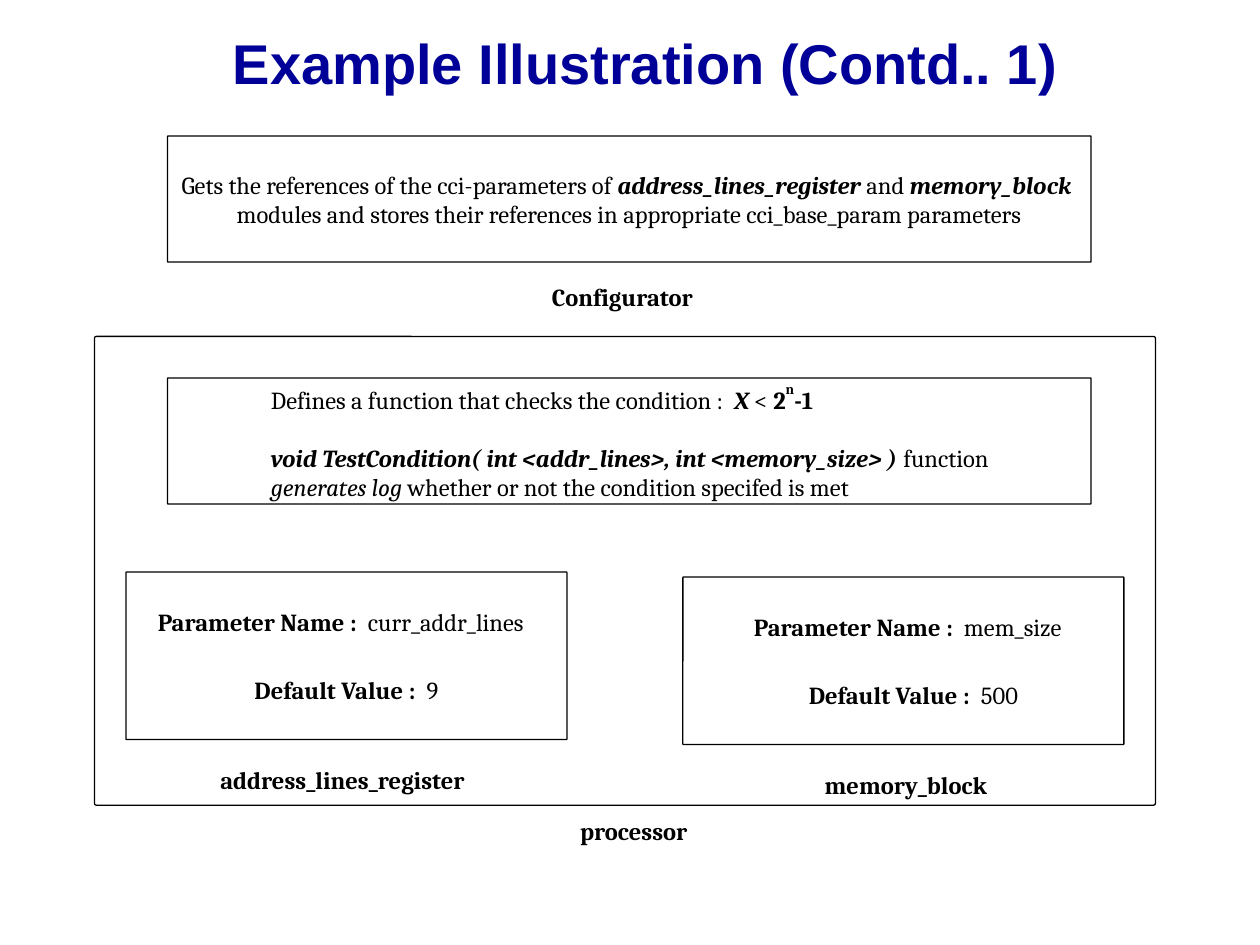
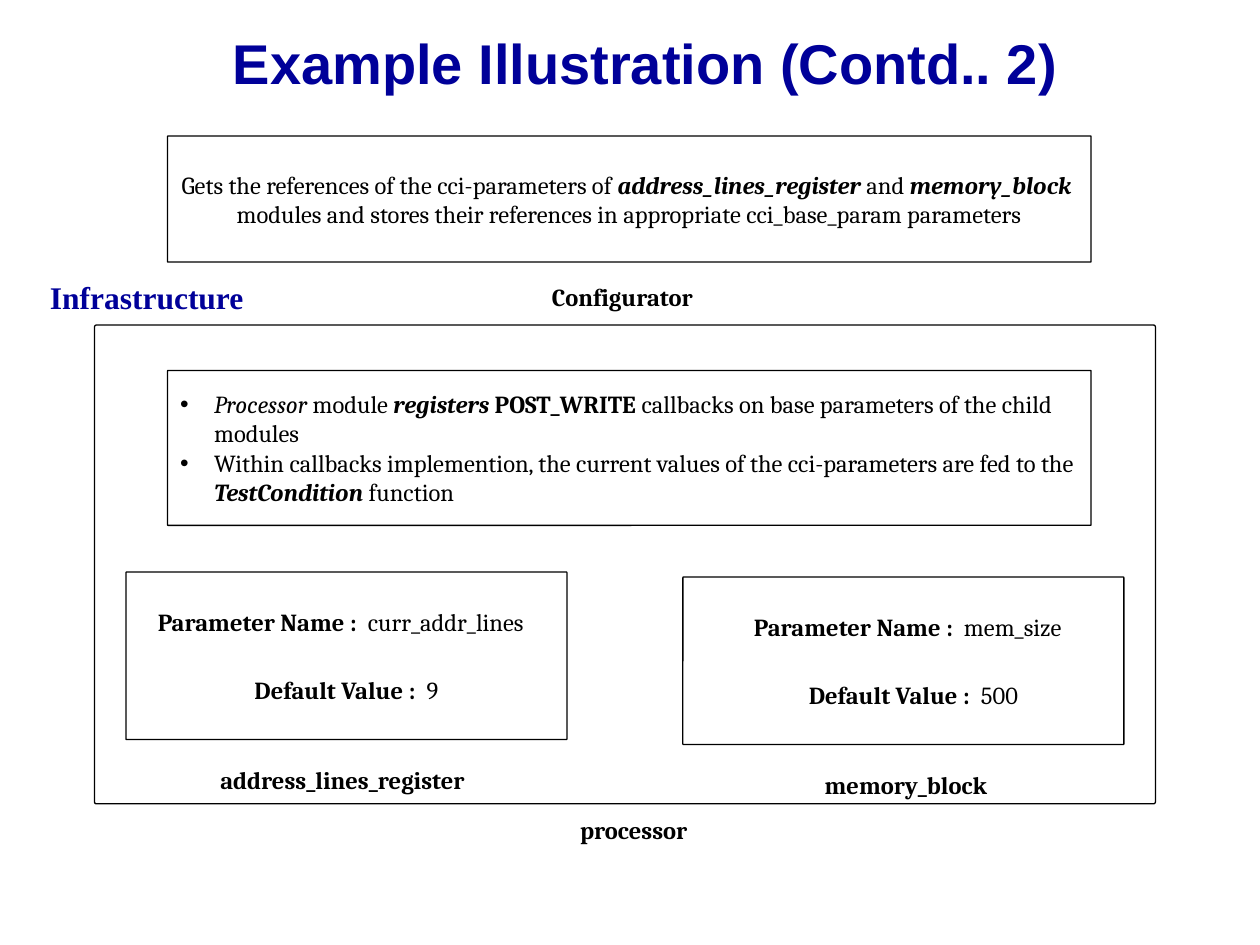
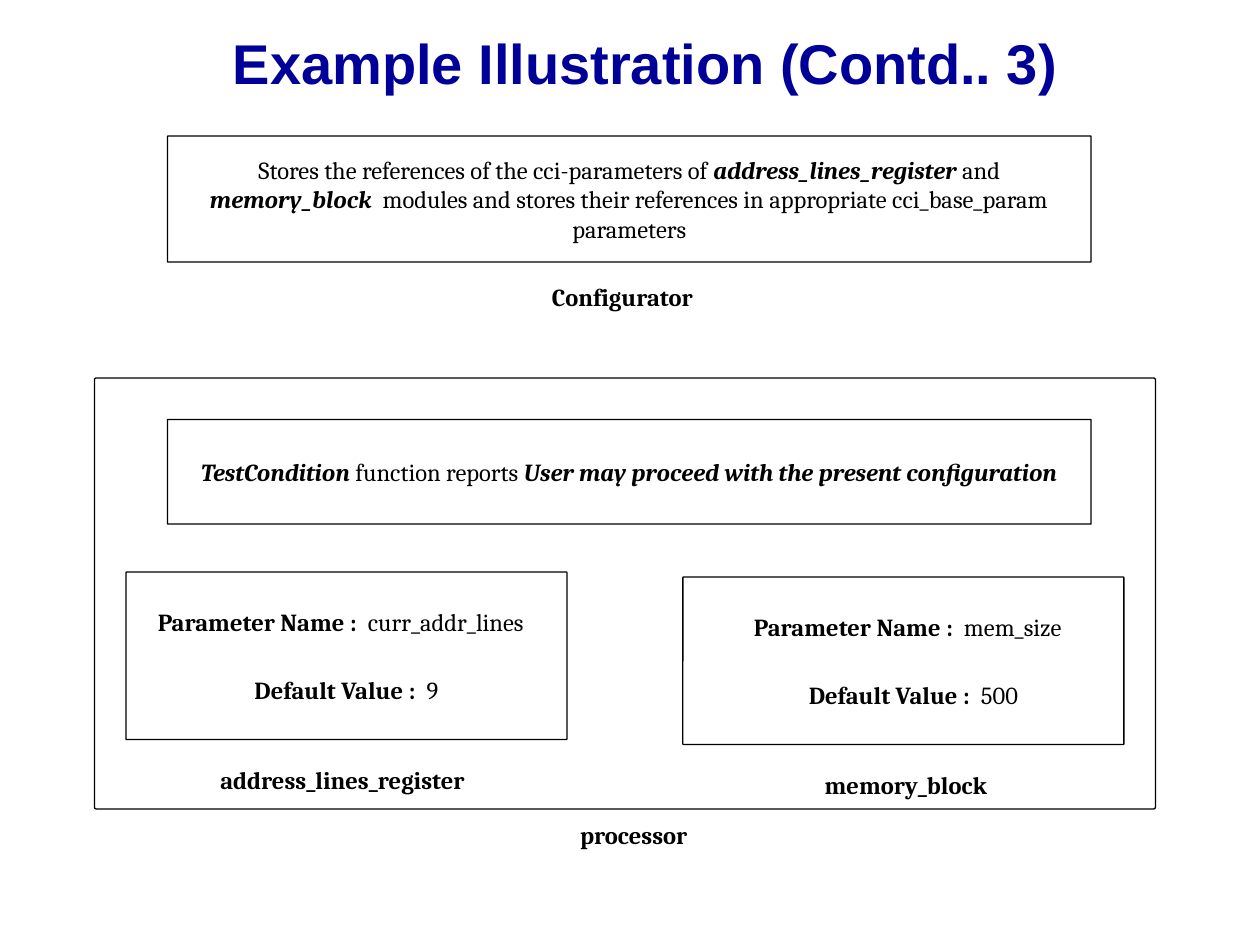
import pptx
import pptx.dml.color
import pptx.enum.shapes
import pptx.enum.text
import pptx.util
from pptx.util import Inches

BLACK, WHITE, NAVY = "000000", "FFFFFF", "000099"
BODY = {"name": "Cambria", "size": pptx.util.Pt(14)}
TITLE = {"name": "Arial", "size": pptx.util.Pt(32), "bold": True}
SIDE_HEADING = {"name": "Times New Roman", "size": pptx.util.Pt(18), "bold": True}
CENTER = pptx.enum.text.PP_ALIGN.CENTER
LEFT = pptx.enum.text.PP_ALIGN.LEFT
LABEL_HEIGHT = 0.29
BULLET_INDENT = 0.27

# Runs are (text, style): b bold, i italic, s superscript
REFERENCES = [
    (" the references of the cci-parameters of ", ""),
    ("address_lines_register", "bi"),
    (" and ", ""),
    ("memory_block", "bi"),
    ("  modules and stores their references in appropriate cci_base_param parameters", ""),
]

MODULES = [
    {"box": (1, 4.54, 3.5, 1.33), "name": "address_lines_register",
     "parameter": "curr_addr_lines", "value": "9",
     "name_left": 0.36, "parameter_left": 0.08, "value_left": 0.75},
    {"box": (5.42, 4.58, 3.5, 1.33), "name": "memory_block",
     "parameter": "mem_size", "value": "500",
     "name_left": 0.41, "parameter_left": 0.16, "value_left": 0.83},
]

SLIDES = [
    {"title": "Example Illustration (Contd.. 1)",
     "configurator_verb": "Gets",
     "processor": (0.75, 2.67, 8.42, 3.72),
     "action_top": 0.33, "action_height": 1,
     "action": [
         [("Defines a function that checks the condition :  ", ""), ("X", "bi"),
          (" < ", ""), ("2", "b"), ("n", "bs"), ("-1", "b")],
         [("void TestCondition( int <addr_lines>, int <memory_size> )", "bi"),
          (" function", "")],
         [("generates log", "i"), (" whether or not the condition specifed is met", "")],
     ],
     "action_format": {"align": LEFT, "left_inset": 0.82, "gaps": {1: 16.5}}},
    {"title": "Example Illustration (Contd.. 2)",
     "configurator_verb": "Gets",
     "side_heading": "Infrastructure",
     "processor": (0.75, 2.58, 8.42, 3.8),
     "action_top": 0.36, "action_height": 1.23,
     "action": [
         [("Processor", "i"), (" module ", ""), ("registers ", "bi"), ("POST_WRITE ", "b"),
          ("callbacks on base parameters of the child modules", "")],
         [("Within callbacks implemention, the current values of the cci-parameters "
           "are fed to the ", ""), ("TestCondition", "bi"), (" function", "")],
     ],
     "action_format": {"align": LEFT, "bulleted": True}},
    {"title": "Example Illustration (Contd.. 3)",
     "configurator_verb": "Stores",
     "processor": (0.75, 3, 8.42, 3.42),
     "action_top": 0.33, "action_height": 0.83,
     "action": [
         [("TestCondition", "bi"), (" function reports ", ""),
          ("User may proceed with the present configuration", "bi")],
     ],
     "action_format": {}},
]


def rgb(value):
    return pptx.dml.color.RGBColor.from_string(value)


def format_font(font, values, color):
    for name, value in values.items():
        setattr(font, name, value)
    font.color.rgb = rgb(color)


def format_frame(text_frame, left_inset=0.1, vertical_inset=0.03):
    values = {
        "word_wrap": True,
        "vertical_anchor": pptx.enum.text.MSO_ANCHOR.MIDDLE,
        "margin_left": Inches(left_inset),
        "margin_right": Inches(0.1),
        "margin_top": Inches(vertical_inset),
        "margin_bottom": Inches(vertical_inset),
    }
    for name, value in values.items():
        setattr(text_frame, name, value)


def add_bullet(paragraph):
    properties = paragraph._p.get_or_add_pPr()
    properties.set("marL", str(Inches(BULLET_INDENT)))
    properties.set("indent", str(-Inches(BULLET_INDENT)))
    for tag, attribute, value in (("buFont", "typeface", "Arial"), ("buChar", "char", "•")):
        element = pptx.oxml.xmlchemy.OxmlElement(f"a:{tag}")
        element.set(attribute, value)
        properties.append(element)


def write_paragraphs(text_frame, paragraphs, align=CENTER, bulleted=False, gaps=None,
                     font=BODY, color=BLACK, line_spacing=None):
    """Write lists of styled runs; gaps maps a paragraph index to points before it."""
    for index, runs in enumerate(paragraphs):
        paragraph = text_frame.paragraphs[0] if index == 0 else text_frame.add_paragraph()
        paragraph.alignment = align
        if line_spacing:
            paragraph.line_spacing = line_spacing
        if gaps and index in gaps:
            paragraph.space_before = pptx.util.Pt(gaps[index])
        if bulleted:
            add_bullet(paragraph)
        for text, style in runs:
            run = paragraph.add_run()
            run.text = text
            format_font(run.font, {"bold": "b" in style, "italic": "i" in style, **font}, color)
            if "s" in style:
                run._r.get_or_add_rPr().set("baseline", "60000")


def add_box(slide, box, paragraphs=(), outlined=True, left_inset=0.1, **text_format):
    shape = slide.shapes.add_shape(
        pptx.enum.shapes.MSO_SHAPE.ROUNDED_RECTANGLE, *map(Inches, box))
    shape.adjustments[0] = 0.004
    shape.shadow.inherit = False
    shape.fill.solid()
    shape.fill.fore_color.rgb = rgb(WHITE)
    if outlined:
        shape.line.color.rgb = rgb(BLACK)
        shape.line.width = pptx.util.Pt(0.75)
    else:
        shape.line.fill.background()
    format_frame(shape.text_frame, left_inset)
    write_paragraphs(shape.text_frame, paragraphs, **text_format)


def add_label(slide, left, top, width, *runs, height=LABEL_HEIGHT):
    add_box(slide, (left, top, width, height), [runs], outlined=False)


def add_title(slide, text):
    title = slide.shapes.title
    title.left, title.top, title.width, title.height = map(Inches, (1.33, 0.24, 7.59, 0.59))
    format_frame(title.text_frame)
    write_paragraphs(title.text_frame, [[(text, "b")]], font=TITLE, color=NAVY,
                     line_spacing=0.85)


def add_side_heading(slide, text):
    text_box = slide.shapes.add_textbox(*map(Inches, (0.25, 2.25, 1.83, 0.26)))
    format_frame(text_box.text_frame)
    write_paragraphs(text_box.text_frame, [[(text, "b")]], font=SIDE_HEADING, color=NAVY,
                     line_spacing=0.85)


def add_configurator(slide, box, verb):
    left, top, width, height = box
    first_text, first_style = REFERENCES[0]
    add_box(slide, box, [[(verb + first_text, first_style), *REFERENCES[1:]]])
    add_label(slide, left + 2.25, top + height + 0.13, 2.72, ("Configurator", "b"))


def add_module(slide, module):
    left, top, width, height = module["box"]
    add_box(slide, module["box"])
    add_label(slide, left + module["parameter_left"], top + 0.25, 3.25,
              ("Parameter Name :", "b"), ("  " + module["parameter"], ""))
    add_label(slide, left + module["value_left"], top + 0.79, 2,
              ("Default Value :", "b"), ("  " + module["value"], ""))
    add_label(slide, left + module["name_left"], top + height + 0.17, 2.72,
              (module["name"], "b"))


def add_processor(slide, content):
    left, top, width, height = content["processor"]
    add_box(slide, content["processor"])
    add_label(slide, left + 2.92, top + height + 0.09, 2.72, ("processor", "b"), height=0.23)
    for module in MODULES:
        add_module(slide, module)
    action_box = (left + 0.58, top + content["action_top"], 7.33, content["action_height"])
    add_box(slide, action_box, content["action"], **content["action_format"])


def add_illustration(presentation, content):
    slide = presentation.slides.add_slide(presentation.slide_layouts[5])
    add_title(slide, content["title"])
    add_processor(slide, content)
    add_configurator(slide, (1.33, 1.08, 7.33, 1), content["configurator_verb"])
    if "side_heading" in content:
        add_side_heading(slide, content["side_heading"])


def main():
    presentation = pptx.Presentation()
    presentation.slide_width = Inches(10)
    presentation.slide_height = Inches(7.5)
    for content in SLIDES:
        add_illustration(presentation, content)
    presentation.save("out.pptx")


if __name__ == "__main__":
    main()
